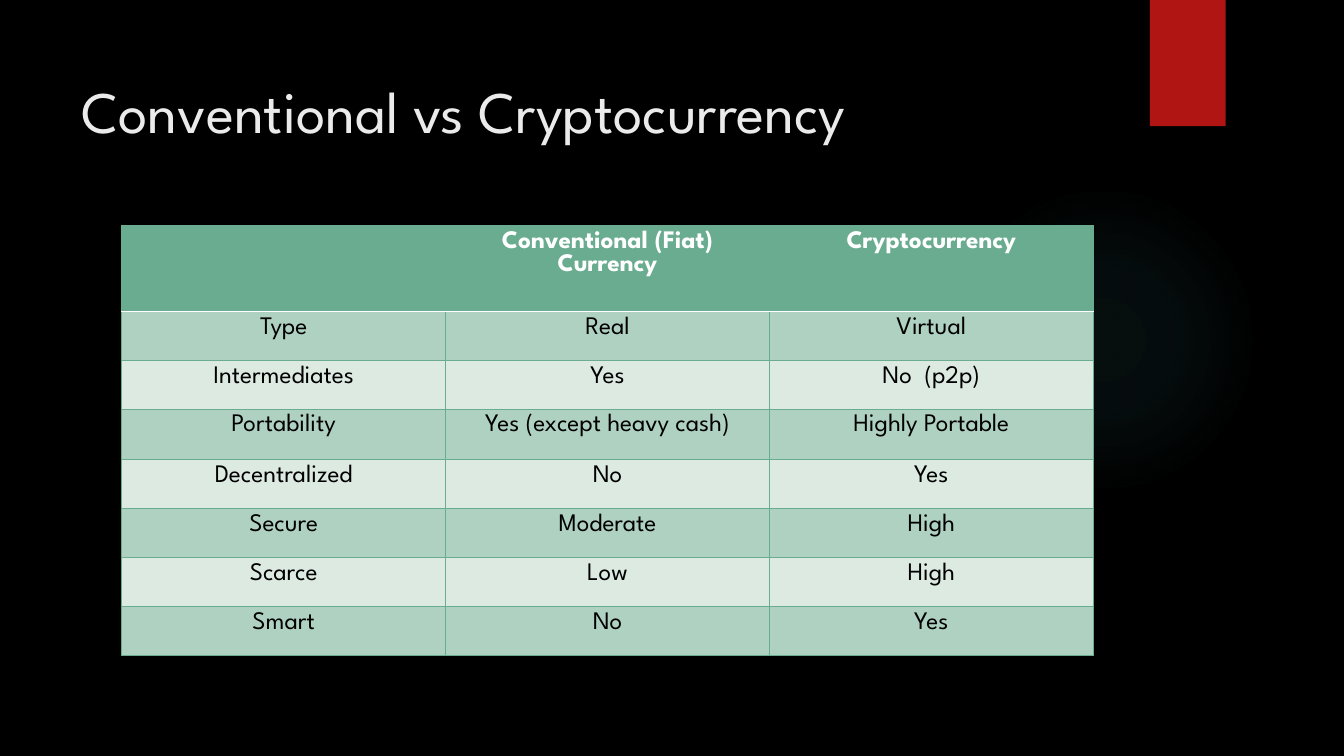
from lxml.etree import SubElement
from pptx import Presentation
from pptx.dml.color import RGBColor
from pptx.enum.shapes import MSO_SHAPE
from pptx.enum.text import MSO_ANCHOR, PP_ALIGN
from pptx.oxml import parse_xml
from pptx.oxml.ns import qn
from pptx.util import Cm, Pt

# Content
TITLE = "Conventional vs Cryptocurrency"
ROWS = [
    ("", "Conventional (Fiat) Currency", "Cryptocurrency"),
    ("Type", "Real", "Virtual"),
    ("Intermediates", "Yes", "No  (p2p)"),
    ("Portability", "Yes (except heavy cash)", "Highly Portable"),
    ("Decentralized", "No", "Yes"),
    ("Secure", "Moderate", "High"),
    ("Scarce", "Low", "High"),
    ("Smart", "No", "Yes"),
]

# Style
FONT = "League Spartan"
BLACK = RGBColor(0x00, 0x00, 0x00)
WHITE = RGBColor(0xFF, 0xFF, 0xFF)
TITLE_GREY = RGBColor(0xEB, 0xEB, 0xEB)
RED = RGBColor(0xB0, 0x15, 0x13)
GREEN = RGBColor(0x6A, 0xAC, 0x90)
BAND_DARK = RGBColor(0xAF, 0xD1, 0xC1)
BAND_LIGHT = RGBColor(0xDD, 0xEA, 0xE2)
GLOW = RGBColor(0x50, 0xB9, 0xC1)
GLOW_STOPS = [(0, 7), (36, 6), (69, 0)]  # position %, opacity %

# Table measures
COL_W = Cm(8.16)
HEAD_H, ROW_H, TALL_H = Cm(2.16), Cm(1.23), Cm(1.28)
ROW_HEIGHTS = [TALL_H if row[0] == "Portability" else ROW_H for row in ROWS]
ROW_HEIGHTS[0] = HEAD_H


def add_text(p, text, size, color, bold=False):
    r = p.add_run()
    r.text = text
    r.font.name = FONT
    r.font.size = Pt(size)
    r.font.bold = bold
    r.font.color.rgb = color


def add_plain_shape(s, kind, x, y, w, h):
    sp = s.shapes.add_shape(kind, x, y, w, h)
    sp.shadow.inherit = False
    sp.line.fill.background()
    return sp


def glow_fill(sp):
    """Circular gradient that fades out from the centre."""
    stops = "".join(
        f'<a:gs pos="{pos * 1000}"><a:srgbClr val="{GLOW}">'
        f'<a:alpha val="{alpha * 1000}"/></a:srgbClr></a:gs>'
        for pos, alpha in GLOW_STOPS)
    grad = parse_xml(
        '<a:gradFill xmlns:a="http://schemas.openxmlformats.org/drawingml/2006/main">'
        f'<a:gsLst>{stops}</a:gsLst><a:path path="circle">'
        '<a:fillToRect l="50000" t="50000" r="50000" b="50000"/></a:path></a:gradFill>')
    sp._element.spPr.find(qn("a:prstGeom")).addnext(grad)


def set_borders(cell, sides):
    """Draw the cell's edges; they come before its fill in the XML."""
    tc_pr = cell._tc.get_or_add_tcPr()
    for i, (side, color, width) in enumerate(sides):
        ln = SubElement(tc_pr, qn(f"a:{side}"), w=str(Pt(width)))
        fill = SubElement(ln, qn("a:solidFill"))
        SubElement(fill, qn("a:srgbClr"), val=str(color))
        tc_pr.insert(i, ln)


def cell_borders(row):
    top = (WHITE, 1.5) if row == 1 else (GREEN, 0.75)
    bottom = (WHITE, 1.5) if row == 0 else (GREEN, 0.75)
    return [("lnL", GREEN, 0.75), ("lnR", GREEN, 0.75),
            ("lnT", *top), ("lnB", *bottom)]


def main():
    prs = Presentation()
    prs.slide_width, prs.slide_height = Cm(33.87), Cm(19.05)
    s = prs.slides.add_slide(prs.slide_layouts[5])
    s.background.fill.solid()
    s.background.fill.fore_color.rgb = BLACK

    # Glow and red tab
    glow = add_plain_shape(s, MSO_SHAPE.OVAL, Cm(23.9), Cm(4.65), Cm(7.82), Cm(7.82))
    glow_fill(glow)
    tab = add_plain_shape(s, MSO_SHAPE.RECTANGLE, Cm(28.98), 0, Cm(1.91), Cm(3.18))
    tab.fill.solid()
    tab.fill.fore_color.rgb = RED

    # Title
    title = s.shapes.title
    title.left, title.top, title.width, title.height = Cm(1.8), Cm(1.27), Cm(26.14), Cm(3.02)
    tf = title.text_frame
    tf.vertical_anchor = MSO_ANCHOR.TOP
    tf.margin_top = Cm(0.62)
    tf.paragraphs[0].alignment = PP_ALIGN.LEFT
    add_text(tf.paragraphs[0], TITLE, 42, TITLE_GREY)

    # Comparison table
    n_cols = len(ROWS[0])
    table = s.shapes.add_table(len(ROWS), n_cols, Cm(3.07), Cm(5.69),
                               COL_W * n_cols, sum(ROW_HEIGHTS)).table
    for col in table.columns:
        col.width = COL_W
    for i, (row, height) in enumerate(zip(ROWS, ROW_HEIGHTS)):
        table.rows[i].height = height
        head = i == 0
        band = GREEN if head else BAND_DARK if i % 2 else BAND_LIGHT
        for j, text in enumerate(row):
            cell = table.cell(i, j)
            cell.fill.solid()
            cell.fill.fore_color.rgb = band
            set_borders(cell, cell_borders(i))
            p = cell.text_frame.paragraphs[0]
            p.alignment = PP_ALIGN.CENTER
            if text:
                add_text(p, text, 18, WHITE if head else BLACK, head)

    prs.save("out.pptx")


if __name__ == "__main__":
    main()
